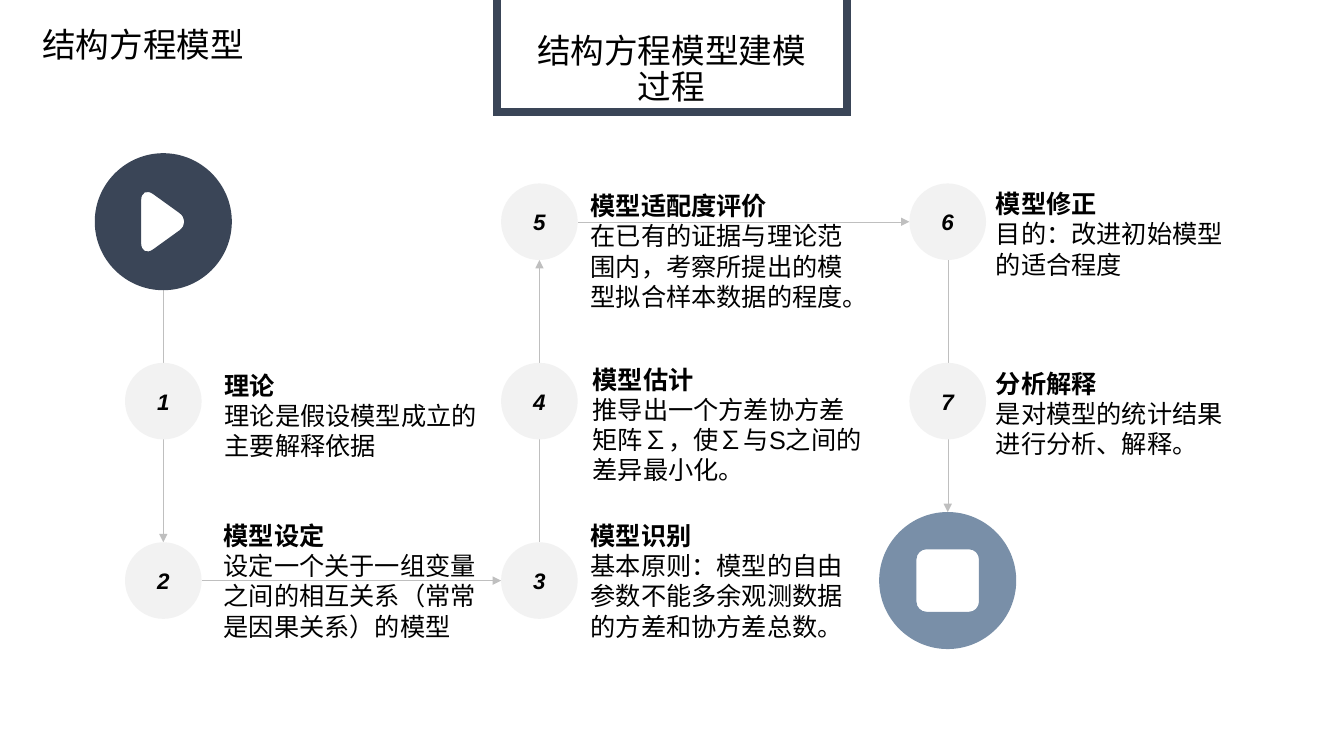
from dataclasses import dataclass
from lxml import etree
from pptx import Presentation
from pptx.dml.color import RGBColor
from pptx.enum.shapes import MSO_CONNECTOR, MSO_SHAPE
from pptx.enum.text import MSO_ANCHOR, MSO_AUTO_SIZE, PP_ALIGN
from pptx.oxml.ns import qn
from pptx.util import Inches, Pt
import math

OVAL, RECT = MSO_SHAPE.OVAL, MSO_SHAPE.RECTANGLE
STRAIGHT = MSO_CONNECTOR.STRAIGHT
MIDDLE, BOTTOM = MSO_ANCHOR.MIDDLE, MSO_ANCHOR.BOTTOM
LEFT, CENTER = PP_ALIGN.LEFT, PP_ALIGN.CENTER
FIXED = MSO_AUTO_SIZE.NONE


@dataclass(frozen=True)
class Theme:
    dark: str = "3A4557"
    steel: str = "798FA8"
    pale: str = "F2F2F2"
    rule: str = "BFBFBF"
    ink: str = "000000"
    paper: str = "FFFFFF"
    latin: str = "Arial"
    brand: str = "Montserrat"
    cjk: str = "Noto Sans CJK SC"
    title: int = 24
    note: int = 18
    step: int = 16


THEME = Theme()
WIDE, HIGH = 13.33, 7.5
COLS = (1.62, 5.35, 9.4)
ROWS = [2.2 + 1.78 * n for n in range(3)]
DOT, DISC = 0.38, 0.68

STEPS = (
    ("1", 0, 1, 0.51, 0.14, 2.77, 1.2, THEME.latin, "理论",
     "理论是假设模型成立的主要解释依据"),
    ("2", 0, 2, 0.5, 0, 2.81, 1.31, THEME.latin, "模型设定",
     "设定一个关于一组变量之间的相互关系（常常是因果关系）的模型"),
    ("3", 1, 2, 0.41, 0, 2.93, 1.31, THEME.latin, "模型识别",
     "基本原则：模型的自由参数不能多余观测数据的方差和协方差总数。"),
    ("4", 1, 1, 0.43, 0.23, 2.9, 1.62, THEME.latin, "模型估计",
     "推导出一个方差协方差矩阵∑，使∑与S之间的差异最小化。"),
    ("5", 1, 0, 0.41, 0.29, 2.9, 1.31, THEME.cjk, "模型适配度评价",
     "在已有的证据与理论范围内，考察所提出的模型拟合样本数据的程度。"),
    ("6", 2, 0, 0.38, 0.12, 2.63, 1.01, THEME.cjk, "模型修正",
     "目的：改进初始模型的适合程度"),
    ("7", 2, 1, 0.38, 0.12, 2.63, 1.01, THEME.cjk, "分析解释",
     "是对模型的统计结果进行分析、解释。"),
)
LINKS = (
    (COLS[0], ROWS[0] + DISC, COLS[0], ROWS[2] - DOT),
    (COLS[0] + DOT, ROWS[2], COLS[1] - DOT, ROWS[2]),
    (COLS[1], ROWS[2] - DOT, COLS[1], ROWS[0] + DOT),
    (COLS[1] + DOT, ROWS[0], COLS[2] - DOT, ROWS[0]),
    (COLS[2], ROWS[0] + DOT, COLS[2], ROWS[2] - DISC),
)
PLAY = ((-0.22, -0.36), (0.28, 0), (-0.22, 0.36))
SQUARE = ((-1, -1), (1, -1), (1, 1), (-1, 1))
STOP = [(0.31 * x, 0.31 * y) for x, y in SQUARE]
RING = [(DISC * x, DISC * y) for x, y in SQUARE]
BEND = 0.55


def tint(code):
    return RGBColor.from_string(code)


def paint(shape, fill):
    shape.shadow.inherit = False
    shape.fill.solid()
    shape.fill.fore_color.rgb = tint(fill)
    shape.line.fill.background()


def style(para, face, size, bold=False, slant=False, align=LEFT):
    para.alignment = align
    for run in para.runs:
        font = run.font
        font.name, font.size = face, Pt(size)
        font.bold, font.italic = bold, slant
        font.color.rgb = tint(THEME.ink)
        east = etree.Element(qn("a:ea"), typeface=THEME.cjk)
        font._element.find(qn("a:latin")).addnext(east)


def link(slide, ends):
    line = slide.shapes.add_connector(STRAIGHT, *map(Inches, ends))
    line.line.color.rgb = tint(THEME.rule)
    line.line.width = Pt(0.25)
    props = line.element.spPr
    etree.SubElement(props.find(qn("a:ln")), qn("a:tailEnd"), type="triangle")
    etree.SubElement(props, qn("a:effectLst"))


def dot(slide, x, y, text):
    shape = slide.shapes.add_shape(
        OVAL, *map(Inches, (x - DOT, y - DOT, 2 * DOT, 2 * DOT)))
    paint(shape, THEME.pale)
    frame = shape.text_frame
    frame.text = text
    frame.vertical_anchor = MIDDLE
    style(frame.paragraphs[0], THEME.latin, THEME.step, True, True, CENTER)


def note(slide, x, y, wide, high, face, head, body):
    box = slide.shapes.add_textbox(
        *map(Inches, (x, y - high / 2, wide, high)))
    frame = box.text_frame
    frame.word_wrap = True
    frame.vertical_anchor = MIDDLE
    frame.text = head + "\n" + body
    for para, bold in zip(frame.paragraphs, (True, False)):
        style(para, face, THEME.note, bold)


def blend(a, b, t):
    return tuple(p + (q - p) * t for p, q in zip(a, b))


def corners(points, cut):
    for n, tip in enumerate(points):
        prev, post = points[n - 1], points[(n + 1) % len(points)]
        start = blend(tip, prev, cut / math.dist(tip, prev))
        end = blend(tip, post, cut / math.dist(tip, post))
        yield start, blend(start, tip, BEND), blend(end, tip, BEND), end


def curve(shape, starts):
    lines = list(shape.element.iter(qn("a:lnTo")))
    for n in starts:
        bend = etree.Element(qn("a:cubicBezTo"))
        lines[n].addprevious(bend)
        for line in lines[n:n + 3]:
            bend.append(line[0])
            line.getparent().remove(line)


def badge(slide, x, y, fill, icon, cut):
    ring = [p for n, part in enumerate(corners(RING, DISC))
            for p in part[min(n, 1):]]
    mark = [p for part in corners(icon, cut) for p in part]
    rims = [[(Inches(x + a), Inches(y + b)) for a, b in rim]
            for rim in (ring, mark)]
    build = slide.shapes.build_freeform(*rims[0][0])
    build.add_line_segments(rims[0][1:])
    build.move_to(*rims[1][0])
    build.add_line_segments(rims[1][1:])
    shape = build.convert_to_shape()
    first = len(ring) - 1
    last = first + len(mark) - 1
    curve(shape, [*range(0, first, 3), *range(first, last, 4)])
    for line in list(shape.element.iter(qn("a:lnTo"))):
        if line.getnext().tag == qn("a:close"):
            line.getparent().remove(line)
    paint(shape, fill)


def banner(slide):
    shape = slide.shapes.add_shape(
        RECT, *map(Inches, (WIDE * 0.37, HIGH * -0.08, WIDE * 0.26, 1.71)))
    paint(shape, THEME.paper)
    shape.line.color.rgb = tint(THEME.dark)
    shape.line.width = Pt(5.5)
    edge = shape.element.spPr.find(qn("a:ln"))
    etree.SubElement(edge, qn("a:miter"), lim="800000")


def title(shape, text, face, x, y, wide):
    shape.left, shape.top = Inches(x), Inches(y)
    shape.width, shape.height = Inches(wide), Inches(0.69)
    frame = shape.text_frame
    frame.text = text
    frame.word_wrap = True
    frame.auto_size = FIXED
    frame.vertical_anchor = BOTTOM
    para = frame.paragraphs[0]
    para.line_spacing = 0.9
    style(para, face, THEME.title, align=CENTER)


def main():
    deck = Presentation()
    deck.slide_width, deck.slide_height = Inches(WIDE), Inches(HIGH)
    slide = deck.slides.add_slide(deck.slide_layouts[5])
    for ends in LINKS:
        link(slide, ends)
    for num, col, row, right, down, wide, high, face, head, body in STEPS:
        x, y = COLS[col], ROWS[row]
        dot(slide, x, y, num)
        note(slide, x + right, y + down, wide, high, face, head, body)
    badge(slide, COLS[0], ROWS[0], THEME.dark, PLAY, 0.15)
    badge(slide, COLS[2], ROWS[2], THEME.steel, STOP, 0.1)
    banner(slide)
    main_title = slide.shapes.title
    title(main_title, "结构方程模型建模过程", THEME.brand, 5.14, 0.42, 3.04)
    main_title.element.getparent().append(main_title.element)
    topic = slide.shapes.add_textbox(0, 0, 0, 0)
    title(topic, "结构方程模型", THEME.cjk, 0.15, 0, 2.54)
    deck.save("out.pptx")


if __name__ == "__main__":
    main()
